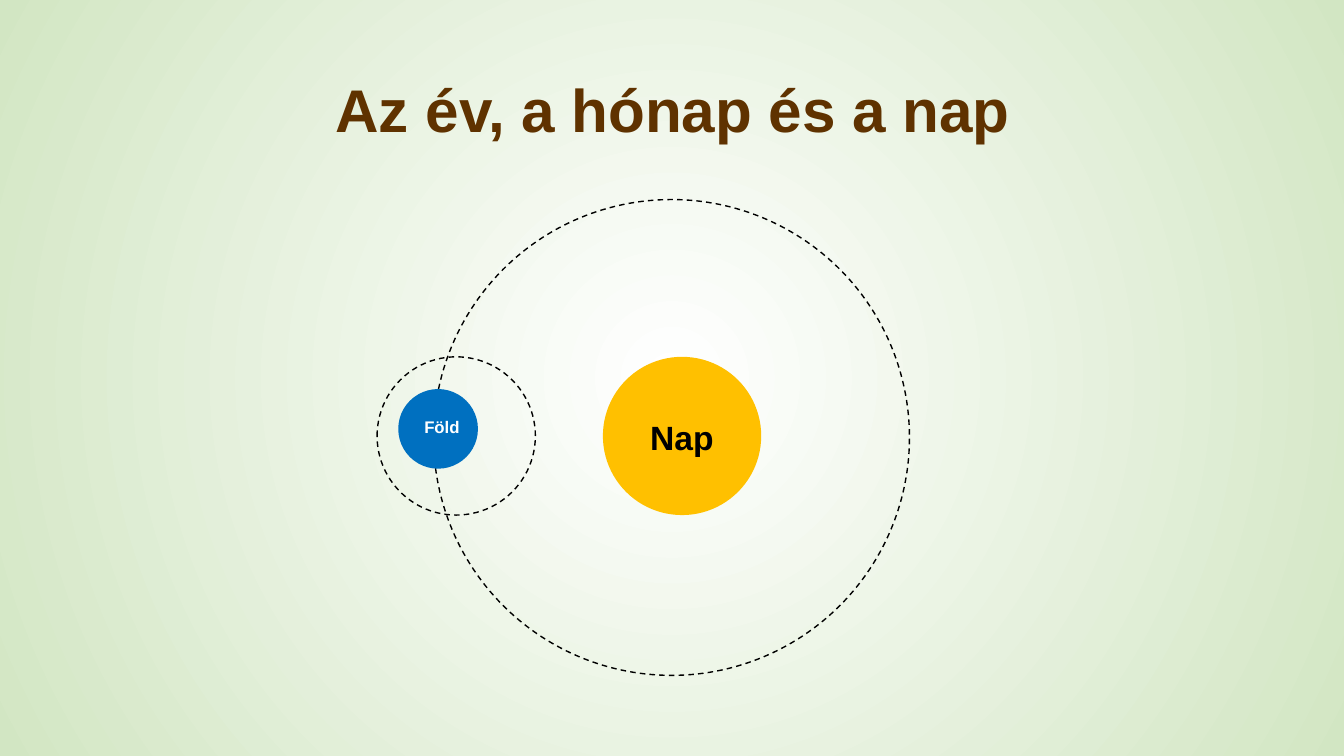
from dataclasses import dataclass
from typing import Optional

from lxml import etree
from pptx import Presentation
from pptx.dml.color import RGBColor
from pptx.enum.dml import MSO_LINE
from pptx.enum.shapes import MSO_SHAPE
from pptx.enum.text import MSO_ANCHOR, PP_ALIGN
from pptx.oxml.ns import qn
from pptx.slide import Slide
from pptx.util import Inches, Pt

ELLIPSE = MSO_SHAPE.OVAL
DASH = MSO_LINE.DASH
MIDDLE, TOP = MSO_ANCHOR.MIDDLE, MSO_ANCHOR.TOP
CENTER, LEFT = PP_ALIGN.CENTER, PP_ALIGN.LEFT

COLORS = {
    "center": "FFFFFF",
    "edge": "D2E6C3",
    "title": "5F3200",
    "sun": "FFC000",
    "earth": "0070C0",
    "black": "000000",
    "white": "FFFFFF",
}


@dataclass
class Circle:
    """A filled body, or a dashed orbit when it has no fill."""
    left: float
    top: float
    diameter: float
    fill: Optional[str] = None


@dataclass
class Label:
    text: str
    left: float
    top: float
    width: float
    height: float
    size: float
    color: str
    anchor: MSO_ANCHOR = TOP
    alignment: PP_ALIGN = LEFT
    line_spacing: float = 1.0


ELEMENTS = [
    Label("Az év, a hónap és a nap", 0.92, 0.4, 11.5, 1.45, 43, "title",
          MIDDLE, CENTER, 0.9),
    Circle(5.98, 3.54, 1.57, "sun"),
    Label("Nap", 6.35, 4.09, 1.21, 0.5, 24, "black"),
    Circle(4.3, 1.98, 4.72),
    Circle(3.95, 3.86, 0.79, "earth"),
    Label("Föld", 4.11, 4.09, 0.8, 0.3, 12, "white"),
    Circle(3.74, 3.54, 1.57),
]


def rgb(name: str) -> RGBColor:
    return RGBColor.from_string(COLORS[name])


def paint_background(slide: Slide) -> None:
    """Fill the background with a gradient radiating from the slide's centre."""
    fill = slide.background.fill
    fill.gradient()
    for stop, name in zip(fill.gradient_stops, ("center", "edge")):
        stop.color.rgb = rgb(name)
    gradient = slide.element.find(".//" + qn("a:gradFill"))
    linear = gradient.find(qn("a:lin"))
    radial = etree.Element(qn("a:path"), {"path": "circle"})
    etree.SubElement(radial, qn("a:fillToRect"),
                     {side: "50000" for side in "ltrb"})
    gradient.replace(linear, radial)


def draw_circle(slide: Slide, circle: Circle) -> None:
    diameter = Inches(circle.diameter)
    shape = slide.shapes.add_shape(
        ELLIPSE, Inches(circle.left), Inches(circle.top), diameter, diameter)
    shape.shadow.inherit = False
    if circle.fill:
        shape.fill.solid()
        shape.fill.fore_color.rgb = rgb(circle.fill)
        shape.line.fill.background()
    else:
        shape.fill.background()
        shape.line.color.rgb = rgb("black")
        shape.line.width = Pt(1)
        shape.line.dash_style = DASH


def draw_label(slide: Slide, label: Label) -> None:
    box = slide.shapes.add_textbox(
        Inches(label.left), Inches(label.top),
        Inches(label.width), Inches(label.height))
    frame = box.text_frame
    frame.word_wrap = True
    frame.vertical_anchor = label.anchor
    paragraph = frame.paragraphs[0]
    paragraph.text = label.text
    paragraph.alignment = label.alignment
    paragraph.line_spacing = label.line_spacing
    font = paragraph.font
    font.name = "Arial"
    font.size = Pt(label.size)
    font.bold = True
    font.color.rgb = rgb(label.color)


def main() -> None:
    presentation = Presentation()
    presentation.slide_width = Inches(13.33)
    presentation.slide_height = Inches(7.5)
    slide = presentation.slides.add_slide(presentation.slide_layouts[6])
    paint_background(slide)
    for element in ELEMENTS:
        if isinstance(element, Circle):
            draw_circle(slide, element)
        else:
            draw_label(slide, element)
    presentation.save("out.pptx")


if __name__ == "__main__":
    main()
